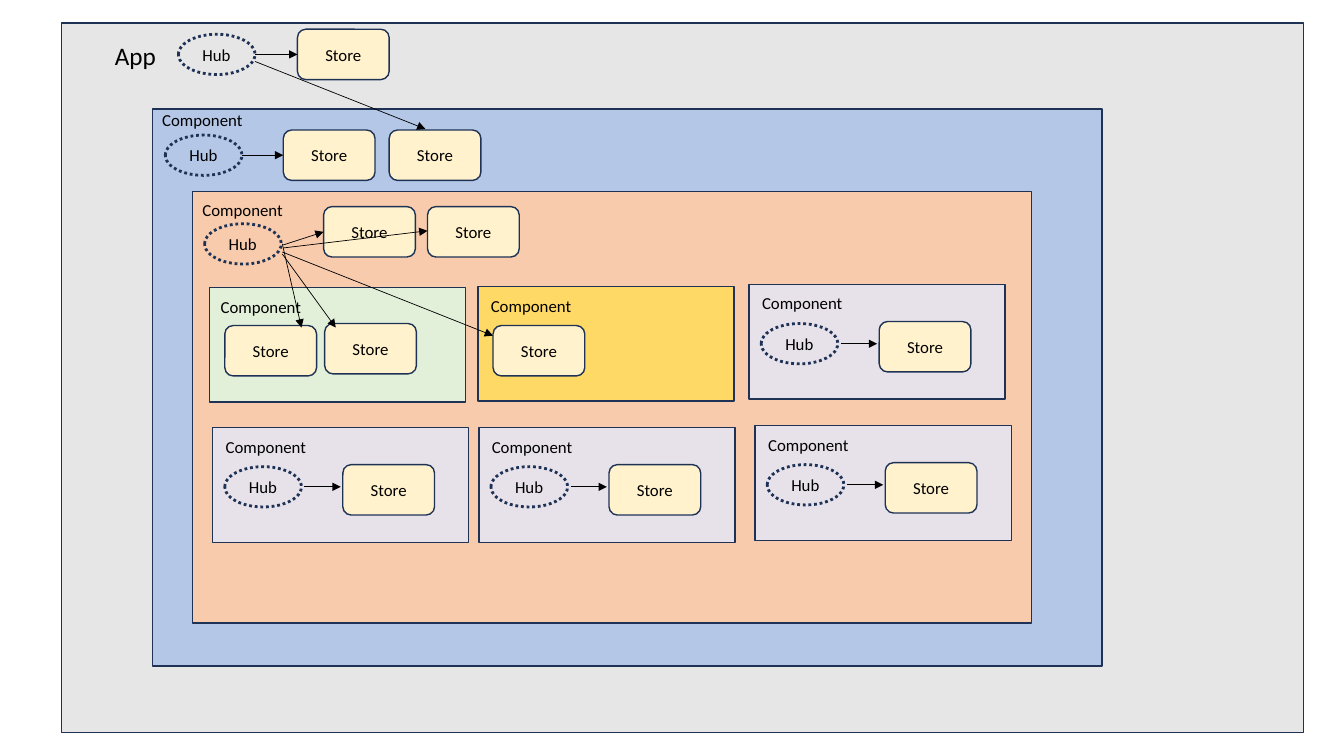
"""Build a slide of nested components whose hubs feed stores."""
from typing import NamedTuple

from lxml.etree import SubElement
from pptx import Presentation
from pptx.dml.color import RGBColor
from pptx.enum.dml import MSO_LINE
from pptx.enum.shapes import MSO_CONNECTOR, MSO_SHAPE as SHAPE
from pptx.enum.text import MSO_ANCHOR, PP_ALIGN
from pptx.oxml.ns import qn
from pptx.util import Inches, Pt

COLORS = {
    "app": "E7E6E6", "outer": "B4C7E7", "inner": "F8CBAD", "green": "E2F0D9",
    "gold": "FFD966", "panel": "E7E1E9", "store": "FFF2CC",
    "outline": "1E3256", "ink": "000000",
}
FONT = "Calibri"


class Box(NamedTuple):
    x: float
    y: float
    w: float
    h: float
    fill: str


class Label(NamedTuple):
    text: str
    x: float
    y: float
    w: float = 1.04
    h: float = 0.5
    size: int = 12


class Spot(NamedTuple):
    x: float
    y: float


class Arrow(NamedTuple):
    x1: float
    y1: float
    x2: float
    y2: float


PANEL_W, PANEL_H = 2.54, 1.14
PANELS = [Spot(7.43, 2.82), Spot(2.11, 4.24), Spot(4.75, 4.24), Spot(7.49, 4.22)]

BOXES = [
    Box(0.61, 0.23, 12.32, 7.04, "app"),
    Box(1.51, 1.08, 9.42, 5.53, "outer"),
    Box(1.91, 1.9, 8.32, 4.28, "inner"),
    Box(2.08, 2.85, PANEL_W, PANEL_H, "green"),
    Box(4.74, 2.84, PANEL_W, PANEL_H, "gold"),
    *(Box(p.x, p.y, PANEL_W, PANEL_H, "panel") for p in PANELS),
]
LABELS = [
    Label("App", 1.04, 0.35, 0.76, 0.4, 18),
    *(Label("Component", x, y) for x, y in
      [(1.51, 1.04), (1.91, 1.93), (2.09, 2.89), (4.77, 2.88)]),
    *(Label("Component", p.x + 0.03, p.y + 0.04) for p in PANELS),
]
STORES = [
    Spot(2.95, 0.29), Spot(2.81, 1.29), Spot(3.86, 1.29), Spot(3.21, 2.05),
    Spot(4.24, 2.05), Spot(2.23, 3.23), Spot(3.22, 3.21), Spot(4.89, 3.23),
    *(Spot(p.x + 1.29, p.y + 0.37) for p in PANELS),
]
HUBS = [
    Spot(1.77, 0.34), Spot(1.64, 1.34), Spot(2.03, 2.22),
    *(Spot(p.x + 0.12, p.y + 0.39) for p in PANELS),
]
ARROWS = [
    Arrow(2.53, 0.54, 2.95, 0.54), Arrow(2.53, 0.61, 4.22, 1.28),
    Arrow(2.4, 1.54, 2.81, 1.54), Arrow(2.81, 2.43, 3.21, 2.3),
    Arrow(2.81, 2.46, 4.24, 2.29), Arrow(2.8, 2.42, 2.99, 3.25),
    Arrow(2.8, 2.52, 3.33, 3.25), Arrow(2.8, 2.5, 4.89, 3.33),
    *(Arrow(p.x + 0.91, p.y + 0.59, p.x + 1.27, p.y + 0.59) for p in PANELS),
]


def rgb(name: str) -> RGBColor:
    return RGBColor.from_string(COLORS[name])


def write(sp, text: str, size: int = 12) -> None:
    tf = sp.text_frame
    tf.word_wrap = True
    p = tf.paragraphs[0]
    p.text = text
    p.font.name, p.font.size = FONT, Pt(size)
    p.font.color.rgb = rgb("ink")


def add_shape(s, kind: SHAPE, box: Box, width: float = 1):
    sp = s.shapes.add_shape(kind, *map(Inches, box[:4]))
    sp.shadow.inherit = False
    if box.fill:
        sp.fill.solid()
        sp.fill.fore_color.rgb = rgb(box.fill)
    else:
        sp.fill.background()
    sp.line.color.rgb = rgb("outline")
    sp.line.width = Pt(width)
    return sp


def add_label(s, label: Label) -> None:
    sp = s.shapes.add_textbox(*map(Inches, label[1:5]))
    write(sp, label.text, label.size)


def add_store(s, at: Spot) -> None:
    sp = add_shape(s, SHAPE.ROUNDED_RECTANGLE, Box(at.x, at.y, 0.91, 0.5, "store"))
    write(sp, "Store")
    sp.text_frame.vertical_anchor = MSO_ANCHOR.MIDDLE
    sp.text_frame.paragraphs[0].alignment = PP_ALIGN.CENTER


def add_hub(s, at: Spot) -> None:
    sp = add_shape(s, SHAPE.OVAL, Box(at.x, at.y, 0.76, 0.4, ""), 2)
    sp.line.dash_style = MSO_LINE.ROUND_DOT
    add_label(s, Label("Hub", at.x + 0.14, at.y + 0.05, 0.56, 0.3))


def add_arrow(s, arrow: Arrow) -> None:
    c = s.shapes.add_connector(MSO_CONNECTOR.STRAIGHT, *map(Inches, arrow))
    c.line.color.rgb = rgb("ink")
    c.line.width = Pt(0.5)
    SubElement(c.line._get_or_add_ln(), qn("a:tailEnd"), type="triangle")
    SubElement(c._element.spPr, qn("a:effectLst"))


def main() -> None:
    prs = Presentation()
    prs.slide_width, prs.slide_height = Inches(13.33), Inches(7.5)
    s = prs.slides.add_slide(prs.slide_layouts[6])
    for box in BOXES:
        add_shape(s, SHAPE.RECTANGLE, box)
    for label in LABELS:
        add_label(s, label)
    for at in STORES:
        add_store(s, at)
    for at in HUBS:
        add_hub(s, at)
    for arrow in ARROWS:
        add_arrow(s, arrow)
    prs.save("out.pptx")


main()
